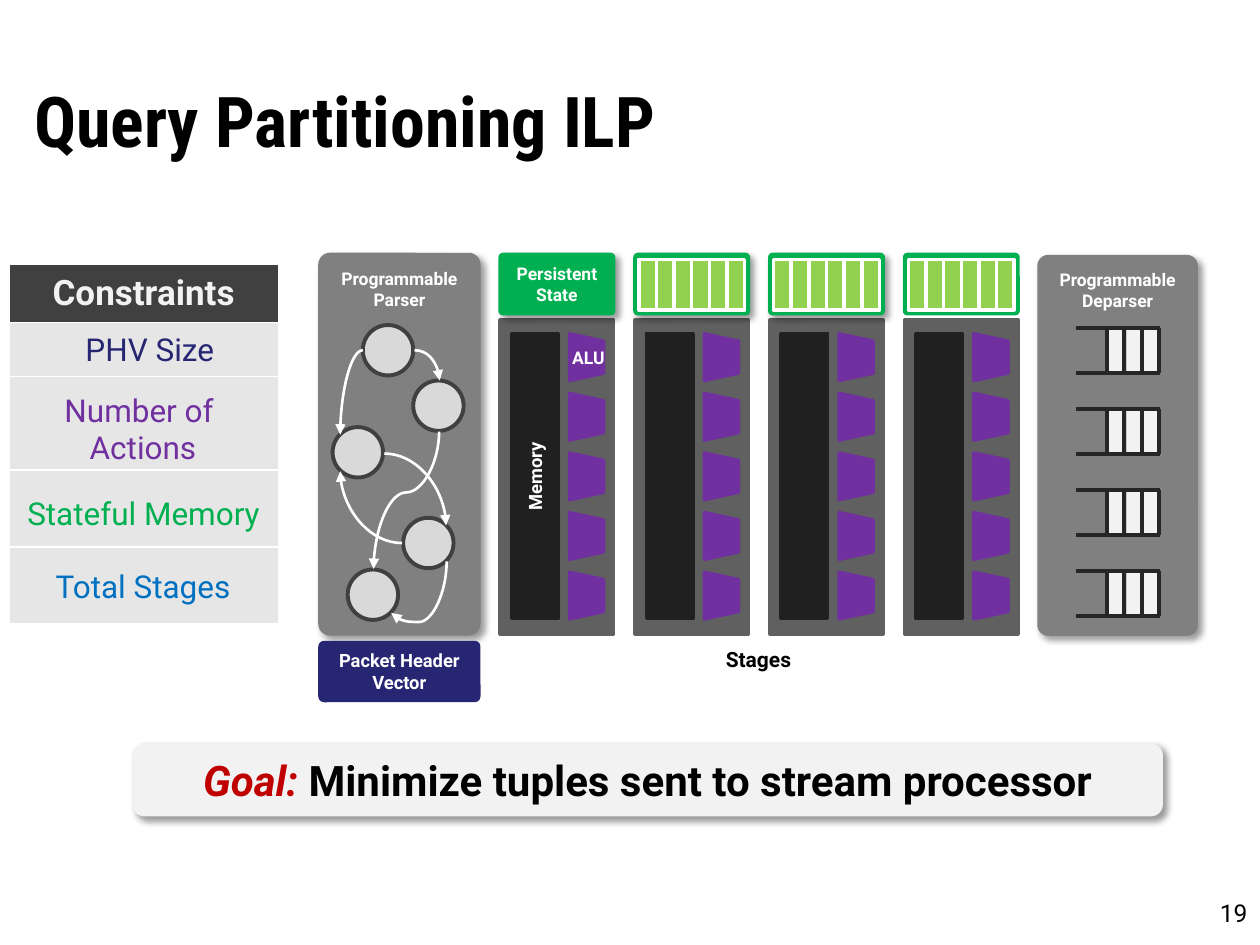
from lxml import etree
from pptx import Presentation
from pptx import util as u
from pptx.dml import color
from pptx.enum import shapes, text
from pptx.oxml import ns

Inches = u.Inches
rgb = color.RGBColor.from_string
KIND = shapes.MSO_SHAPE
LEFT, CENTER, RIGHT = text.PP_ALIGN.LEFT, text.PP_ALIGN.CENTER, text.PP_ALIGN.RIGHT
TOP, MIDDLE = text.MSO_ANCHOR.TOP, text.MSO_ANCHOR.MIDDLE


def box(parent, kind, x, y, w, h, fill, line=None, width=2, adj=None, shadow=False):
    sp = parent.add_shape(kind, Inches(x), Inches(y), Inches(w), Inches(h))
    sp.fill.solid()
    sp.fill.fore_color.rgb = rgb(fill)
    if line:
        sp.line.color.rgb = rgb(line)
        sp.line.width = u.Pt(width)
    else:
        sp.line.fill.background()
    if adj:
        sp.adjustments[0] = adj
    sp.shadow.inherit = False
    if shadow:
        effects = sp._element.spPr.find(ns.qn("a:effectLst"))
        outer = etree.SubElement(effects, ns.qn("a:outerShdw"), blurRad=str(u.Pt(4)),
                                 dist=str(u.Pt(3)), dir="2700000", algn="tl", rotWithShape="0")
        clr = etree.SubElement(outer, ns.qn("a:srgbClr"), val="000000")
        etree.SubElement(clr, ns.qn("a:alpha"), val="40000")
    return sp


def write(tf, words, size, c, bold=True, align=CENTER, anchor=MIDDLE, font="Roboto"):
    tf.text = words
    tf.vertical_anchor = anchor
    for p in tf.paragraphs:
        p.alignment = align
        for r in p.runs:
            r.font.name = font
            r.font.size = u.Pt(size)
            r.font.bold = bold
            r.font.color.rgb = rgb(c)


prs = Presentation()
prs.slide_width, prs.slide_height = Inches(10), Inches(7.5)
s = prs.slides.add_slide(prs.slide_layouts[5])

title = s.shapes.title
title.left, title.top, title.width, title.height = Inches(0.17), Inches(0.32), Inches(9.58), Inches(1.25)
write(title.text_frame, "Query Partitioning ILP", 40, "000000", align=LEFT, font="Roboto Condensed")

rows = [0.46, 0.43, 0.74, 0.61, 0.61]
table = s.shapes.add_table(len(rows), 1, Inches(0.07), Inches(2.1), Inches(2.14), Inches(sum(rows))).table
table.first_row = table.horz_banding = False
for i, height in enumerate(rows):
    table.rows[i].height = Inches(height)
    cell = table.cell(i, 0)
    cell.fill.solid()
    cell.fill.fore_color.rgb = rgb("E6E6E6" if i else "404040")
header = table.cell(0, 0)
write(header.text_frame, "Constraints", 20, "F2F2F2")
header.vertical_anchor = MIDDLE

goal = box(s.shapes, KIND.ROUNDED_RECTANGLE, 1.05, 5.9, 8.18, 0.58, "F2F2F2", shadow=True)
write(goal.text_frame, "Goal: ", 24, "C00000")
p = goal.text_frame.paragraphs[0]
p.runs[0].font.italic = True
r = p.add_run()
r.text = "Minimize tuples sent to stream processor"
r.font.name, r.font.size, r.font.bold = "Roboto", u.Pt(24), True
r.font.color.rgb = rgb("000000")

for words, x, y, width in [("Programmable Deparser", 8.24, 2.03, 1), ("Programmable Parser", 2.54, 2.02, 2)]:
    sp = box(s.shapes, KIND.ROUNDED_RECTANGLE, x, y, 1.26, 3.01, "808080", "808080", width, 0.063, True)
    sp.text_frame.margin_top = Inches(0.08)
    write(sp.text_frame, words, 10, "FFFFFF", anchor=TOP)

connectors = []
for i in range(4):
    queue = s.shapes.add_group_shape().shapes
    y = 2.6 + 0.643 * i
    for j in range(3):
        box(queue, KIND.RECTANGLE, 8.8 + 0.14 * j, y, 0.11, 0.35, "F2F2F2")
    for line_y in (y, y + 0.36):
        connectors.append((queue, 8.54, line_y, 0.67, 0, None, 0, False, None))
    for j in range(4):
        connectors.append((queue, 8.785 + 0.138 * j, y, 0, 0.36, None, 0, False, None))

for i in range(4):
    x = 3.97 + 1.07 * i
    box(s.shapes, KIND.RECTANGLE, x, 2.54, 0.9, 2.49, "606060", "606060")
    for j in range(5):
        alu = box(s.shapes, KIND.TRAPEZOID, x + 0.5, 2.7 + 0.473 * j, 0.37, 0.27, "7030A0", "7030A0", adj=0.216)
        alu.rotation = 90
    memory = box(s.shapes, KIND.RECTANGLE, x + 0.09, 2.65, 0.37, 2.26, "202020", "202020")
    state = box(s.shapes, KIND.ROUNDED_RECTANGLE, x, 2.02, 0.9, 0.47, "00B050", "00B050",
                adj=0.048, shadow=i < 3)
    if i == 0:
        memory.text_frame._txBody.bodyPr.set("vert", "vert270")
        write(memory.text_frame, "Memory", 10.5, "FFFFFF")
        write(state.text_frame, "Persistent State", 10, "FFFFFF")
    else:
        for j in range(6):
            box(s.shapes, KIND.RECTANGLE, x + 0.03 + 0.14 * j, 2.06, 0.14, 0.4, "92D050", "FFFFFF")

for x, y in [(2.88, 2.58), (3.28, 3.02), (2.64, 3.39), (3.2, 4.11), (2.76, 4.52)]:
    box(s.shapes, KIND.OVAL, x, y, 0.4, 0.4, "D9D9D9", "404040", 2.25)

for x, y, w, h, preset, turn, flip, adj in [
    (3.05, 3.6, 0.49, 0.57, "curvedConnector2", 0, False, None),
    (2.7, 3.74, 0.49, 0.57, "curvedConnector2", 180, False, None),
    (3.29, 2.78, 0.2, 0.24, "curvedConnector2", 0, False, None),
    (2.68, 3.71, 1.09, 0.52, "curvedConnector3", 90, False, 0.443),
    (3.12, 4.44, 0.41, 0.44, "curvedConnector3", 90, False, 1.175),
    (2.7, 2.78, 0.18, 0.67, "curvedConnector2", 180, True, None),
]:
    connectors.append((s.shapes, x, y, w, h, preset, turn, flip, adj))

for parent, x, y, w, h, preset, turn, flip, adj in connectors:
    kind = shapes.MSO_CONNECTOR.CURVE if preset else shapes.MSO_CONNECTOR.STRAIGHT
    cx = parent.add_connector(kind, Inches(x), Inches(y), Inches(x + w), Inches(y + h))
    cx.line.color.rgb = rgb("FFFFFF" if preset else "262626")
    cx.line.width = u.Pt(1.5 if preset else 2.25)
    spPr = cx._element.spPr
    etree.SubElement(spPr, ns.qn("a:effectLst"))
    if preset:
        etree.SubElement(spPr.find(ns.qn("a:ln")), ns.qn("a:tailEnd"), type="triangle")
        geom = spPr.find(ns.qn("a:prstGeom"))
        geom.set("prst", preset)
        xfrm = spPr.find(ns.qn("a:xfrm"))
        xfrm.set("rot", str(turn * 60000))
        if flip:
            xfrm.set("flipV", "1")
        if adj:
            etree.SubElement(geom.find(ns.qn("a:avLst")), ns.qn("a:gd"), name="adj1",
                             fmla=f"val {round(adj * 100000)}")

for words, x, y, w, h, size, c, bold, align, anchor in [
    ("19", 7.67, 7.08, 2.33, 0.25, 14, "000000", False, RIGHT, TOP),
    ("Stages", 5.64, 5.08, 0.76, 0.3, 12, "000000", True, CENTER, TOP),
    ("ALU", 4.43, 2.7, 0.48, 0.27, 10, "FFFFFF", True, CENTER, MIDDLE),
    ("PHV Size", 0.58, 2.57, 1.25, 0.4, 18, "262673", False, LEFT, TOP),
    ("Number of \nActions", 0.4, 3.05, 1.47, 0.71, 18, "7030A0", False, CENTER, TOP),
    ("Total Stages", 0.34, 4.45, 1.59, 0.4, 18, "0070C0", False, CENTER, TOP),
    ("Stateful Memory", 0.11, 3.87, 2.06, 0.4, 18, "00B050", False, CENTER, TOP),
]:
    tf = s.shapes.add_textbox(Inches(x), Inches(y), Inches(w), Inches(h)).text_frame
    tf.word_wrap = align == RIGHT
    write(tf, words, size, c, bold, align, anchor)

header_vector = box(s.shapes, KIND.ROUNDED_RECTANGLE, 2.54, 5.1, 1.26, 0.46, "262673", "262673", adj=0.072)
write(header_vector.text_frame, "Packet Header Vector", 10.5, "FFFFFF")

prs.save("out.pptx")
